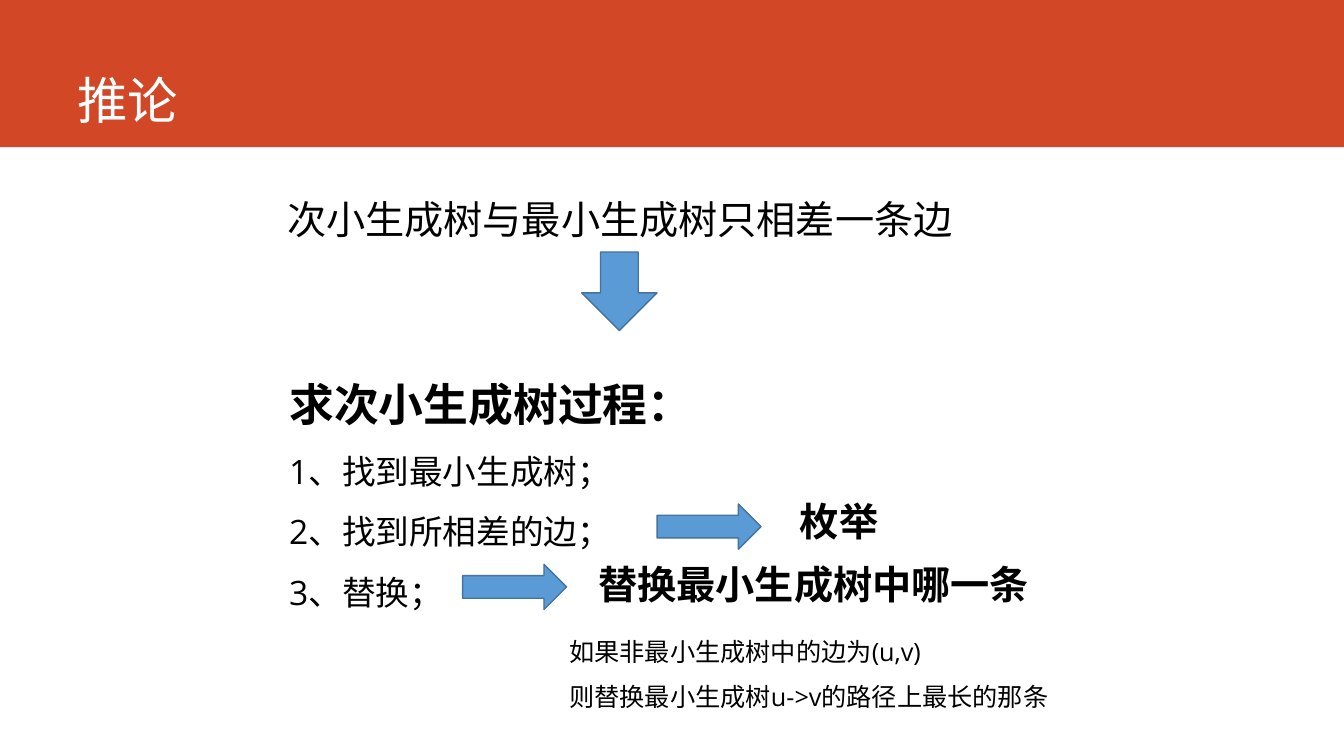
from pptx import Presentation
from pptx.dml.color import RGBColor
from pptx.enum.shapes import MSO_SHAPE
from pptx.enum.text import MSO_ANCHOR, PP_ALIGN
from pptx.oxml.ns import qn
from pptx.util import Cm, Pt
from lxml.etree import SubElement

BLACK = RGBColor(0x00, 0x00, 0x00)
WHITE = RGBColor(0xFF, 0xFF, 0xFF)
BANNER_RED = RGBColor(0xD2, 0x47, 0x26)
ARROW_BLUE = RGBColor(0x5B, 0x9B, 0xD5)
ARROW_EDGE = RGBColor(0x43, 0x73, 0x9E)
LATIN, CJK = "Open Sans", "Noto Sans CJK SC"
WIDTH, HEIGHT, BANNER = 33.87, 19.05, 3.71


class SlideBuilder:
    """Holds the style and the current slide; lengths are centimetres."""

    def __init__(self, s):
        """Start building on slide s."""
        self.s = s

    def shape(self, kind, box, fill, edge=None):
        """Add a flat preset shape, outlined only if edge is given."""
        sp = self.s.shapes.add_shape(kind, *map(Cm, box))
        sp.shadow.inherit = False
        sp.fill.solid()
        sp.fill.fore_color.rgb = fill
        if edge is None:
            sp.line.fill.background()
        else:
            sp.line.color.rgb = edge
            sp.line.width = Pt(1)

    def arrow(self, kind, box):
        """Add a blue block arrow."""
        self.shape(kind, box, ARROW_BLUE, ARROW_EDGE)

    def run(self, p, text, size, bold, color, font):
        """Add one run with its Latin and East Asian fonts."""
        r = p.add_run()
        r.text = text
        r.font.size = Pt(size)
        r.font.bold = bold
        r.font.color.rgb = color
        r.font.name = font
        SubElement(r.font._element, qn("a:ea")).set("typeface", CJK)

    def text(self, box, lines, color=BLACK, font=LATIN, spacing=None,
             align=PP_ALIGN.LEFT, anchor=MSO_ANCHOR.TOP):
        """Add a text box; each line is (text, size, bold)."""
        tf = self.s.shapes.add_textbox(*map(Cm, box)).text_frame
        tf.word_wrap = True
        tf.vertical_anchor = anchor
        for i, (text, size, bold) in enumerate(lines):
            p = tf.add_paragraph() if i else tf.paragraphs[0]
            p.alignment = align
            p.line_spacing = spacing
            self.run(p, text, size, bold, color, font)


def build():
    """Build the slide and save it."""
    prs = Presentation()
    prs.slide_width, prs.slide_height = Cm(WIDTH), Cm(HEIGHT)
    b = SlideBuilder(prs.slides.add_slide(prs.slide_layouts[6]))

    b.shape(MSO_SHAPE.RECTANGLE, (0, 0, WIDTH, BANNER), BANNER_RED)
    b.text((1.7, 0, 29.85, 3.4), [("推论", 36, False)], color=WHITE,
           font=CJK, anchor=MSO_ANCHOR.BOTTOM)

    b.text((6.22, 4.8, 18.8, 1.45),
           [("次小生成树与最小生成树只相差一条边", 28, False)],
           align=PP_ALIGN.CENTER)
    b.arrow(MSO_SHAPE.DOWN_ARROW, (14.66, 6.35, 1.9, 1.98))

    steps = ["找到最小生成树；", "找到所相差的边；", "替换；"]
    b.text((7.04, 8.69, 16.26, 6.73),
           [("求次小生成树过程：", 32, True)]
           + [(f"{n}、{step}", 24, False) for n, step in enumerate(steps, 1)],
           spacing=1.5)

    answers = [
        ((16.56, 12.7), (19.91, 12.4, 4.67, 1.45), "枚举"),
        ((11.66, 14.22), (14.83, 14, 12.73, 1.45), "替换最小生成树中哪一条"),
    ]
    for corner, box, answer in answers:
        b.arrow(MSO_SHAPE.RIGHT_ARROW, (*corner, 2.62, 1.14))
        b.text(box, [(answer, 28, True)])

    b.text((14.1, 15.52, 13.46, 2.44),
           [("如果非最小生成树中的边为(u,v)", 18, False),
            ("则替换最小生成树u->v的路径上最长的那条", 18, False)],
           spacing=1.5)

    prs.save("out.pptx")


build()
